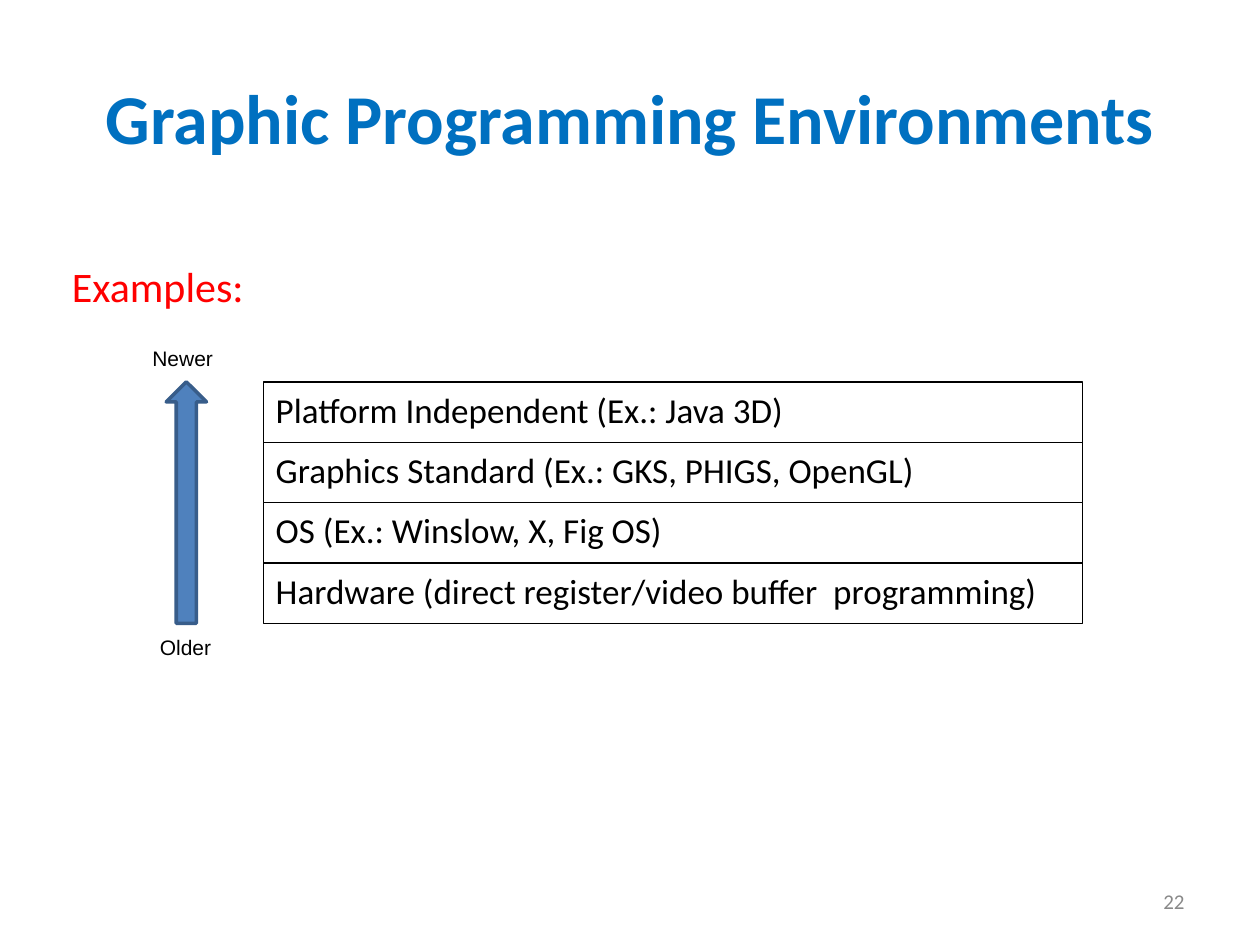
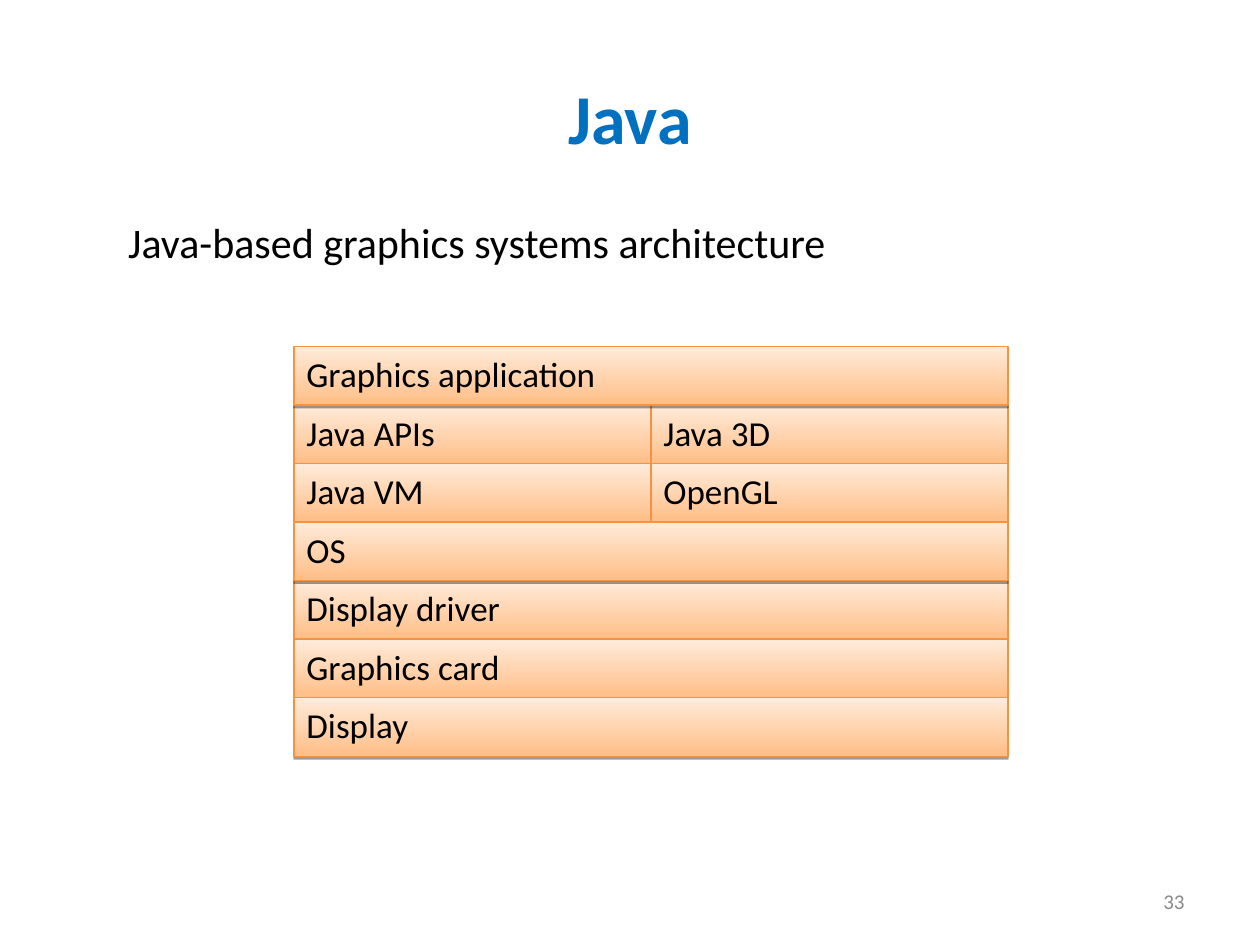
from dataclasses import dataclass

from lxml import etree
from pptx import Presentation
from pptx.dml.color import RGBColor
from pptx.enum import shapes, text
from pptx.oxml import ns
from pptx.util import Pt

# Content
ENVIRONMENTS = {
    "title": "Graphic Programming Environments",
    "number": "22",
    "lead": "Examples:",
    "top_label": "Newer",
    "bottom_label": "Older",
    "levels": [
        "Platform Independent (Ex.: Java 3D)",
        "Graphics Standard (Ex.: GKS, PHIGS, OpenGL)",
        "OS (Ex.: Winslow, X, Fig OS)",
        "Hardware (direct register/video buffer  programming)",
    ],
}
JAVA = {
    "title": "Java",
    "number": "33",
    "lead": "Java-based graphics systems architecture",
    # (label, row, column, columns spanned), from back to front
    "layers": [
        ("Java 3D", 1, 1, 1),
        ("OpenGL", 2, 1, 1),
        ("Java APIs", 1, 0, 1),
        ("Display driver", 4, 0, 2),
        ("Graphics card", 5, 0, 2),
        ("Display", 6, 0, 2),
        ("Graphics application", 0, 0, 2),
        ("Java VM", 2, 0, 1),
        ("OS", 3, 0, 2),
    ],
}


@dataclass(frozen=True)
class Theme:
    body_font: str = "Calibri"
    label_font: str = "Arial"
    title: str = "0070C0"
    ink: str = "000000"
    accent: str = "FF0000"
    muted: str = "898989"
    paper: str = "FFFFFF"
    arrow: str = "4F81BD"
    arrow_line: str = "385D8A"
    layer_line: str = "F69240"
    layer_fill: tuple = ("FFBE86", "FFEBDB")
    title_size: float = 40
    lead_size: float = 24
    box_size: float = 20
    small_size: float = 12


T = Theme()


def rgb(value):
    return RGBColor.from_string(value)


# Text
def write(sp, words, size=T.box_size, color=T.ink, font=T.body_font, bold=False,
          align=text.PP_ALIGN.LEFT, anchor=text.MSO_ANCHOR.TOP, wrap=True):
    tf = sp.text_frame
    tf.word_wrap = wrap
    tf.vertical_anchor = anchor
    p = tf.paragraphs[0]
    p.alignment = align
    r = p.add_run()
    r.text = words
    r.font.name, r.font.size, r.font.bold = font, Pt(size), bold
    r.font.color.rgb = rgb(color)


def add_text(s, words, x, y, w, h, **style):
    sp = s.shapes.add_textbox(Pt(x), Pt(y), Pt(w), Pt(h))
    write(sp, words, **style)


# Shapes
def add_box(s, kind, x, y, w, h, fill, line, line_width=0.75):
    sp = s.shapes.add_shape(kind, Pt(x), Pt(y), Pt(w), Pt(h))
    sp.shadow.inherit = False
    if isinstance(fill, tuple):
        sp.fill.gradient()
        sp.fill.gradient_angle = 90
        for stop, color in zip(sp.fill.gradient_stops, fill):
            stop.color.rgb = rgb(color)
    else:
        sp.fill.solid()
        sp.fill.fore_color.rgb = rgb(fill)
    sp.line.color.rgb = rgb(line)
    sp.line.width = Pt(line_width)
    return sp


def add_shadow(sp):
    effects = sp._element.spPr.find(ns.qn("a:effectLst"))
    shadow = etree.SubElement(effects, ns.qn("a:outerShdw"), blurRad="0",
                              dist=str(Pt(1.6)), dir="5400000", rotWithShape="0")
    color = etree.SubElement(shadow, ns.qn("a:srgbClr"), val=T.ink)
    etree.SubElement(color, ns.qn("a:alpha"), val="38000")


# Title and number shared by the slides
def add_slide(prs, content):
    s = prs.slides.add_slide(prs.slide_layouts[5])
    title = s.shapes.title
    title.left, title.top, title.width, title.height = Pt(36), Pt(21.6), Pt(648), Pt(90)
    write(title, content["title"], size=T.title_size, color=T.title, bold=True,
          align=text.PP_ALIGN.CENTER, anchor=text.MSO_ANCHOR.MIDDLE)
    add_text(s, content["number"], 516, 500.5, 168, 28.8, size=T.small_size,
             color=T.muted, align=text.PP_ALIGN.RIGHT, anchor=text.MSO_ANCHOR.MIDDLE)
    return s


def build_environments(prs):
    s = add_slide(prs, ENVIRONMENTS)
    add_text(s, ENVIRONMENTS["lead"], 34, 145.5, 435.6, 39.6,
             size=T.lead_size, color=T.accent)

    # Stack of levels, lowest first
    left, top, width, row = 150.5, 218.2, 468, 34.5
    levels = ENVIRONMENTS["levels"]
    for i, level in reversed(list(enumerate(levels))):
        sp = add_box(s, shapes.MSO_SHAPE.RECTANGLE, left, top + i * row, width, row,
                     T.paper, T.ink)
        write(sp, level)

    # Age arrow as tall as the stack
    height = row * len(levels)
    add_box(s, shapes.MSO_SHAPE.UP_ARROW, 95, top, 23, height,
            T.arrow, T.arrow_line, line_width=2)
    label = dict(size=T.small_size, font=T.label_font, wrap=False)
    add_text(s, ENVIRONMENTS["top_label"], 80, top - 24, 49, 21.6, **label)
    add_text(s, ENVIRONMENTS["bottom_label"], 84.3, top + height + 3, 44, 21.6, **label)


def build_java(prs):
    s = add_slide(prs, JAVA)
    add_text(s, JAVA["lead"], 66.2, 120.3, 612, 41.8, size=T.lead_size)

    # Architecture grid
    left, top, column, row = 168, 198, 204, 33.45
    for label, i, j, span in JAVA["layers"]:
        sp = add_box(s, shapes.MSO_SHAPE.RECTANGLE, left + j * column, top + i * row,
                     span * column, row, T.layer_fill, T.layer_line)
        add_shadow(sp)
        write(sp, label)


def main():
    prs = Presentation()
    prs.slide_width, prs.slide_height = Pt(720), Pt(540)
    build_environments(prs)
    build_java(prs)
    prs.save("out.pptx")


if __name__ == "__main__":
    main()
